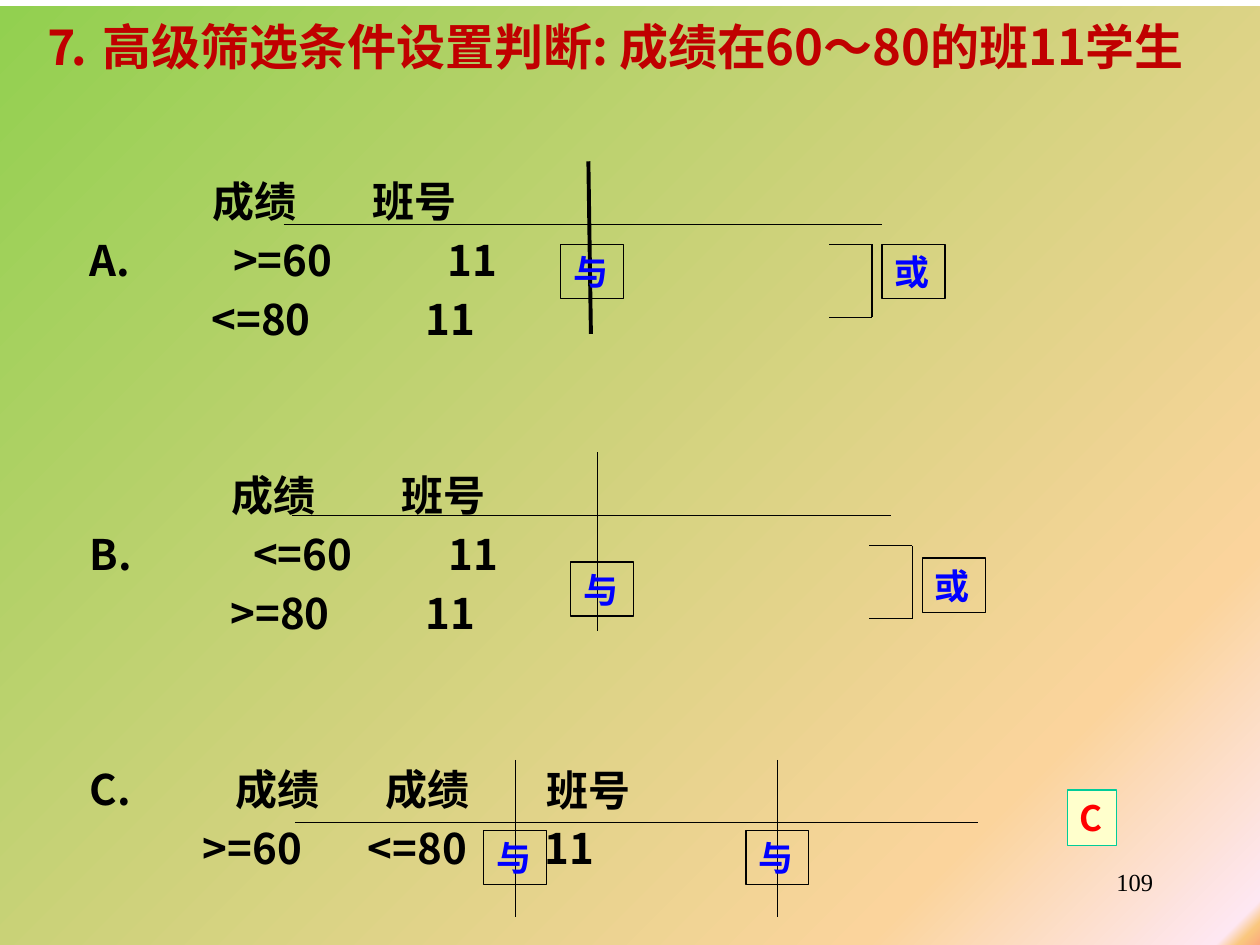
from dataclasses import dataclass

from pptx import Presentation
from pptx.dml.color import RGBColor
from pptx.enum.shapes import MSO_CONNECTOR, MSO_SHAPE
from pptx.enum.text import MSO_ANCHOR, MSO_AUTO_SIZE, PP_ALIGN
from pptx.oxml.ns import qn
from pptx.util import Inches, Pt
from lxml.etree import SubElement


@dataclass(frozen=True)
class Theme:
    sans: str = "Noto Sans CJK SC"
    serif: str = "Times New Roman"
    heading: str = "C00000"
    ink: str = "000000"
    operator: str = "0000FF"
    answer: str = "FF0000"
    answer_fill: str = "FFFFCC"
    answer_line: str = "00CC99"
    heading_size: int = 28
    row_size: int = 24
    tag_size: int = 20
    number_size: int = 14
    heading_pitch: float = 33.5
    row_pitch: float = 33.6
    thin: float = 0.75
    thick: float = 2.25
    backdrop: tuple = ((0, "92D050"), (82, "FBD49C"), (98, "FEE7F2"),
                       (99, "FAC77D"), (100, "FBA97D"))


THEME = Theme()
ROWS_TOP = 1.33
COLUMN_WIDTH = 1.4
TAG_SIZE = (0.5, 0.43)

# Columns of the three options: (row on the line grid, left edge, text)
COLUMNS = [
    [(1, 0.71, "A."), (6, 0.71, "B."), (10, 0.71, "C.")],
    [(0, 1.69, "成绩"), (1, 1.85, ">=60"), (2, 1.68, "<=80"),
     (5, 1.84, "成绩"), (6, 2.01, "<=60"), (7, 1.83, ">=80"),
     (10, 1.87, "成绩"), (11, 1.61, ">=60")],
    [(0, 2.96, "班号"), (1, 3.55, "11"), (2, 3.38, "11"),
     (5, 3.19, "班号"), (6, 3.56, "11"), (7, 3.38, "11"),
     (10, 3.06, "成绩"), (11, 2.92, "<=80")],
    [(10, 4.34, "班号"), (11, 4.32, "11")],
]

# Offsets are measured from the top left corner of each grid's box
GRIDS = [
    dict(box=(2.34, 6.03, 5.42, 1.25), dividers=(1.75, 3.83), and_shift=-0.25,
         and_top=0.56),
    dict(box=(2.25, 1.28, 4.75, 1.37), dividers=(2.42,), and_shift=-0.22,
         and_top=0.66, slant=0.02, weight=THEME.thick,
         bracket=(4.33, 0.66), or_top=0.66),
    dict(box=(2.32, 3.59, 4.75, 1.42), dividers=(2.42,), and_shift=-0.21,
         and_top=0.87, bracket=(4.58, 0.74), or_top=0.84),
]


def add_text(paragraph, text, color, size, font=THEME.sans, bold=True):
    run = paragraph.add_run()
    run.text = text
    for name, value in dict(name=font, size=Pt(size), bold=bold).items():
        setattr(run.font, name, value)
    run.font.color.rgb = RGBColor.from_string(color)
    SubElement(run.font._element, qn("a:ea"), typeface=THEME.sans)


def set_frame(frame, inset=0, anchor=MSO_ANCHOR.TOP):
    settings = dict(word_wrap=True, auto_size=MSO_AUTO_SIZE.NONE,
                    vertical_anchor=anchor, margin_left=Inches(inset),
                    margin_right=Inches(inset), margin_top=0, margin_bottom=0)
    for name, value in settings.items():
        setattr(frame, name, value)


def place(holder, box):
    for name, value in zip(("left", "top", "width", "height"), box):
        setattr(holder, name, Inches(value))


def backdrop(slide, box):
    panel = slide.shapes.add_shape(MSO_SHAPE.RECTANGLE, *map(Inches, box))
    panel.shadow.inherit = False
    panel.line.fill.background()
    panel.fill.gradient()
    panel.fill.gradient_angle = 315
    stops = panel._element.spPr.find(qn("a:gradFill")).find(qn("a:gsLst"))
    for stop in list(stops):
        stops.remove(stop)
    for percent, color in THEME.backdrop:
        stop = SubElement(stops, qn("a:gs"), pos=str(percent * 1000))
        SubElement(stop, qn("a:srgbClr"), val=color)
    # Keep the panel behind the placeholders
    slide.shapes._spTree.insert(2, panel._element)


def heading(slide, box):
    title = slide.shapes.title
    place(title, box)
    set_frame(title.text_frame)
    paragraph = title.text_frame.paragraphs[0]
    paragraph.alignment = PP_ALIGN.LEFT
    paragraph.line_spacing = Pt(THEME.heading_pitch)
    add_text(paragraph, "⒎ 高级筛选条件设置判断: 成绩在60～80的班11学生",
             THEME.heading, THEME.heading_size)


def option_column(column, cells, top):
    """Fill one body placeholder; skipped grid rows become space before."""
    first_row, last_row = cells[0][0], cells[-1][0]
    left = min(edge for _, edge, _ in cells)
    pitch = THEME.row_pitch / 72
    place(column, (left, top + first_row * pitch, COLUMN_WIDTH,
                   (last_row - first_row + 1) * pitch))
    frame = column.text_frame
    set_frame(frame)
    previous = first_row - 1
    for row, edge, text in cells:
        paragraph = (frame.paragraphs[0] if row == first_row
                     else frame.add_paragraph())
        paragraph.alignment = PP_ALIGN.LEFT
        paragraph.line_spacing = Pt(THEME.row_pitch)
        paragraph.space_before = Pt((row - previous - 1) * THEME.row_pitch)
        properties = paragraph._p.get_or_add_pPr()
        properties.set("marL", str(int(Inches(edge - left))))
        properties.set("indent", "0")
        SubElement(properties, qn("a:buNone"))
        add_text(paragraph, text, THEME.ink, THEME.row_size)
        previous = row


def add_line(shapes, start, end, weight=THEME.thin):
    line = shapes.add_connector(MSO_CONNECTOR.STRAIGHT,
                                *map(Inches, (*start, *end)))
    line.line.color.rgb = RGBColor.from_string(THEME.ink)
    line.line.width = Pt(weight)
    SubElement(line._element.spPr, qn("a:effectLst"))


def add_tag(shapes, box, text, color=THEME.operator, font=THEME.serif,
            border=THEME.ink, fill=None):
    tag = shapes.add_shape(MSO_SHAPE.RECTANGLE, *map(Inches, box))
    tag.shadow.inherit = False
    tag.line.color.rgb = RGBColor.from_string(border)
    tag.line.width = Pt(THEME.thin)
    if fill:
        tag.fill.solid()
        tag.fill.fore_color.rgb = RGBColor.from_string(fill)
    else:
        tag.fill.background()
    set_frame(tag.text_frame, inset=0.1, anchor=MSO_ANCHOR.MIDDLE)
    paragraph = tag.text_frame.paragraphs[0]
    paragraph.alignment = PP_ALIGN.LEFT
    add_text(paragraph, text, color, THEME.tag_size, font)


def condition_grid(slide, box, dividers, and_shift, and_top, slant=0,
                   weight=THEME.thin, bracket=None, or_top=0):
    left, top, width, height = box
    shapes = slide.shapes.add_group_shape().shapes
    # Rule under the field names, and dividers between the fields
    add_line(shapes, (left, top + 0.5), (left + width, top + 0.5))
    for offset in dividers:
        x = left + offset
        add_line(shapes, (x, top), (x + slant, top + height), weight)
    # Bracket joining the two rows
    if bracket:
        x, y = left + bracket[0], top + bracket[1]
        right, bottom = x + 0.34, y + 0.58
        add_line(shapes, (x, y), (right, y))
        add_line(shapes, (x, bottom), (right, bottom))
        add_line(shapes, (right, y), (right, bottom))
        add_tag(shapes, (right + 0.08, top + or_top, *TAG_SIZE), "或")
    for offset in dividers:
        add_tag(shapes, (left + offset + and_shift, top + and_top, *TAG_SIZE), "与")


def page_number(slide, box):
    number = slide.shapes.add_textbox(*map(Inches, box))
    number.text_frame.word_wrap = True
    paragraph = number.text_frame.paragraphs[0]
    paragraph.alignment = PP_ALIGN.RIGHT
    add_text(paragraph, "109", THEME.ink, THEME.number_size, THEME.serif, False)


def main():
    deck = Presentation()
    deck.slide_width, deck.slide_height = Inches(10), Inches(7.5)
    # The comparison layout holds a title and four bodies
    slide = deck.slides.add_slide(deck.slide_layouts[4])
    backdrop(slide, (0, 0.05, 10, 7.45))
    heading(slide, (0.34, 0.13, 9.25, 1))
    for number, cells in enumerate(COLUMNS, start=1):
        option_column(slide.placeholders[number], cells, ROWS_TOP)
    for grid in GRIDS:
        condition_grid(slide, **grid)
    # Correct answer
    add_tag(slide.shapes, (8.47, 6.27, 0.39, 0.44), "C", THEME.answer,
            THEME.sans, THEME.answer_line, THEME.answer_fill)
    page_number(slide, (7.17, 6.83, 2.08, 0.5))
    deck.save("out.pptx")


if __name__ == "__main__":
    main()
